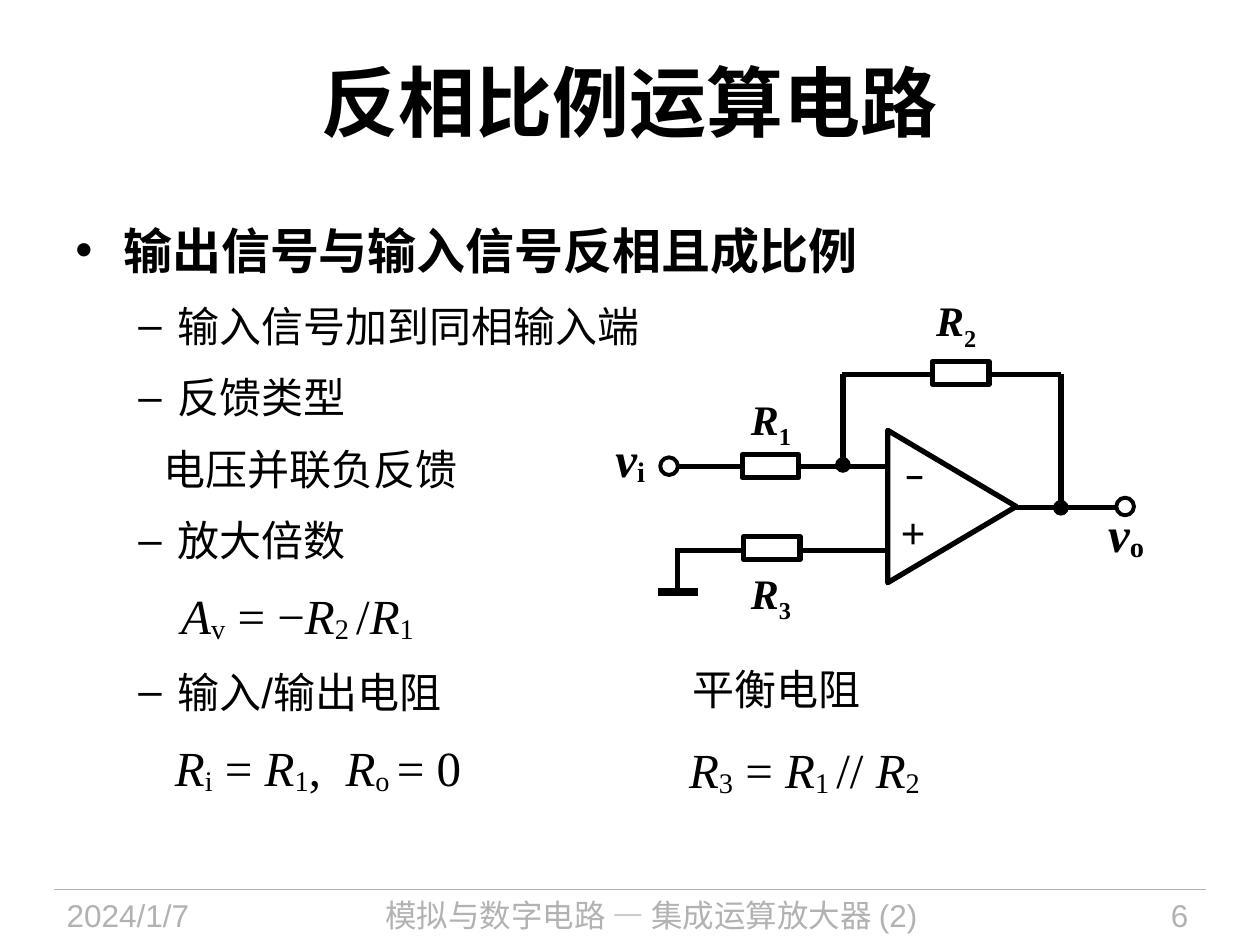
from lxml.etree import SubElement
from pptx import Presentation
from pptx.dml.color import RGBColor
from pptx.enum.shapes import MSO_CONNECTOR, MSO_SHAPE
from pptx.enum.text import MSO_ANCHOR, PP_ALIGN
from pptx.oxml.ns import qn
from pptx.util import Inches, Pt

BLACK = RGBColor(0x00, 0x00, 0x00)
WHITE = RGBColor(0xFF, 0xFF, 0xFF)
GRAY = RGBColor(0xB2, 0xB2, 0xB2)
SANS, SERIF = "Arial", "Times New Roman"
LEFT, CENTER, RIGHT = PP_ALIGN.LEFT, PP_ALIGN.CENTER, PP_ALIGN.RIGHT

deck = Presentation()
deck.slide_width, deck.slide_height = Inches(10), Inches(7.5)
page = deck.slides.add_slide(deck.slide_layouts[6])


def add_runs(para, spans, size, font=SANS, color=BLACK, bold=False, drop=-10):
    """Add (text, style) runs; style is "" plain, "i" italic or "s" subscript."""
    for text, style in spans:
        span = para.add_run()
        span.text = text
        span.font.size, span.font.name = Pt(size), font
        span.font.color.rgb = color
        span.font.bold, span.font.italic = bold, style == "i"
        if style == "s":
            span.font._element.set("baseline", str(drop * 1000))


def add_box(left, top, width, height, align=LEFT, wrap=True, inset=True, middle=False):
    """Add a text box and return its first paragraph."""
    box = page.shapes.add_textbox(Inches(left), Inches(top), Inches(width), Inches(height))
    frame = box.text_frame
    frame.word_wrap = wrap
    if not inset:
        frame.margin_left = frame.margin_right = 0
        frame.margin_top = frame.margin_bottom = 0
    frame.vertical_anchor = MSO_ANCHOR.MIDDLE if middle else MSO_ANCHOR.TOP
    frame.paragraphs[0].alignment = align
    return frame.paragraphs[0]


# Footer texts
for left, width, align, text in [
    (0.43, 1.88, LEFT, "2024/1/7"),
    (2.49, 5.36, CENTER, "模拟与数字电路 — 集成运算放大器 (2)"),
    (8.2, 1.33, RIGHT, "6"),
]:
    add_runs(add_box(left, 7.06, width, 0.44, align), [(text, "")], 18, color=GRAY)

# Title
title = add_box(0.5, 0.17, 9, 1.25, CENTER, middle=True)
add_runs(title, [("反相比例运算电路", "")], 44, SERIF, bold=True)

# Body: bullet, left margin, hanging indent, size, font, bold, runs
gain = [("A", "i"), ("v", "s"), (" = −", ""), ("R", "i"), ("2 ", "s"),
        ("/", ""), ("R", "i"), ("1", "s")]
resistance = [("R", "i"), ("i", "s"), (" = ", ""), ("R", "i"), ("1", "s"),
              (",  ", ""), ("R", "i"), ("o ", "s"), ("= 0", "")]
body_lines = [
    ("•", 0.38, 0.38, 28, SANS, True, [("输出信号与输入信号反相且成比例", "")]),
    ("–", 0.81, 0.31, 24, SANS, False, [("输入信号加到同相输入端", "")]),
    ("–", 0.81, 0.31, 24, SANS, False, [("反馈类型", "")]),
    (None, 0.7, 0, 24, SANS, False, [("电压并联负反馈", "")]),
    ("–", 0.81, 0.31, 24, SANS, False, [("放大倍数", "")]),
    (None, 0.84, 0, 28, SERIF, False, gain),
    ("–", 0.81, 0.31, 24, SANS, False, [("输入/输出电阻", "")]),
    (None, 0.79, 0, 28, SERIF, False, resistance),
]
para = add_box(0.5, 1.7, 8.4, 5.28)
body = para._parent
for index, (bullet, margin, hanging, size, font, bold, spans) in enumerate(body_lines):
    if index:
        para = body.add_paragraph()
    para.space_after = Pt(12)
    props = para._p.get_or_add_pPr()
    props.set("marL", str(Inches(margin)))
    props.set("indent", str(-Inches(hanging)))
    if bullet:
        SubElement(props, qn("a:buFont")).set("typeface", SANS)
        SubElement(props, qn("a:buChar")).set("char", bullet)
    add_runs(para, spans, size, font, bold=bold)

# Footer rule and circuit wires: ends, width, colour, junction dot at the end
for x1, y1, x2, y2, weight, color, dot in [
    (0.43, 7.06, 9.57, 7.06, 0.75, GRAY, False),
    (5.37, 3.7, 7.04, 3.7, 3, BLACK, False),
    (5.38, 4.37, 7.03, 4.37, 3, BLACK, False),
    (8.05, 4.03, 8.86, 4.03, 3, BLACK, False),
    (5.38, 4.35, 5.38, 4.69, 3, BLACK, False),
    (5.22, 4.7, 5.54, 4.7, 4.5, BLACK, False),
    (6.68, 2.97, 8.42, 2.97, 3, BLACK, False),
    (8.42, 2.97, 8.42, 4.03, 3, BLACK, True),
    (6.69, 2.97, 6.69, 3.69, 3, BLACK, True),
]:
    wire = page.shapes.add_connector(
        MSO_CONNECTOR.STRAIGHT, Inches(x1), Inches(y1), Inches(x2), Inches(y2))
    wire.line.width = Pt(weight)
    wire.line.color.rgb = color
    if dot:
        SubElement(wire.line._get_or_add_ln(), qn("a:tailEnd")).set("type", "oval")
    SubElement(wire._element.spPr, qn("a:effectLst"))

# Terminals, resistors and the amplifier triangle
terminal = (MSO_SHAPE.OVAL, 0.14, 0.14, 2.25)
resistor = (MSO_SHAPE.RECTANGLE, 0.45, 0.18, 3)
amplifier = (MSO_SHAPE.ISOSCELES_TRIANGLE, 1.21, 1.02, 3)
for (kind, width, height, weight), left, top in [
    (terminal, 5.24, 3.63),
    (terminal, 8.86, 3.95),
    (resistor, 5.89, 3.61),
    (resistor, 5.9, 4.26),
    (resistor, 7.4, 2.87),
    (amplifier, 6.95, 3.51),
]:
    part = page.shapes.add_shape(
        kind, Inches(left), Inches(top), Inches(width), Inches(height))
    part.shadow.inherit = False
    part.line.color.rgb = BLACK
    part.line.width = Pt(weight)
    if kind == MSO_SHAPE.ISOSCELES_TRIANGLE:
        part.fill.background()
        part.rotation = 90
    else:
        part.fill.solid()
        part.fill.fore_color.rgb = WHITE

# Circuit labels
for left, top, width, height, align, name, sub, size, drop in [
    (5.96, 3.12, 0.33, 0.4, LEFT, "R", "1", 24, -25),
    (7.43, 2.34, 0.33, 0.43, LEFT, "R", "2", 24, -25),
    (5.96, 4.5, 0.33, 0.52, LEFT, "R", "3", 24, -25),
    (4.88, 3.4, 0.24, 0.47, RIGHT, "v", "i", 28, -10),
    (8.78, 4, 0.3, 0.47, RIGHT, "v", "o", 28, -10),
]:
    label = add_box(left, top, width, height, align, wrap=False, inset=False)
    add_runs(label, [(name, "i"), (sub, "s")], size, SERIF, bold=True, drop=drop)

# Amplifier input signs
plus = add_box(7.15, 4.02, 0.19, 0.4, wrap=False, inset=False, middle=True)
add_runs(plus, [("+", "")], 24)
minus = add_box(7.19, 3.61, 0.14, 0.3, wrap=False, inset=False, middle=True)
add_runs(minus, [("–", "")], 18, bold=True)

# Balancing resistor note
add_runs(add_box(5.4, 5.22, 1.55, 0.51, wrap=False), [("平衡电阻", "")], 24)
balance = [("R", "i"), ("3", "s"), (" = ", ""), ("R", "i"), ("1 ", "s"),
           ("// ", ""), ("R", "i"), ("2", "s")]
add_runs(add_box(5.37, 5.82, 2.18, 0.57, wrap=False), balance, 28, SERIF)

deck.save("out.pptx")
